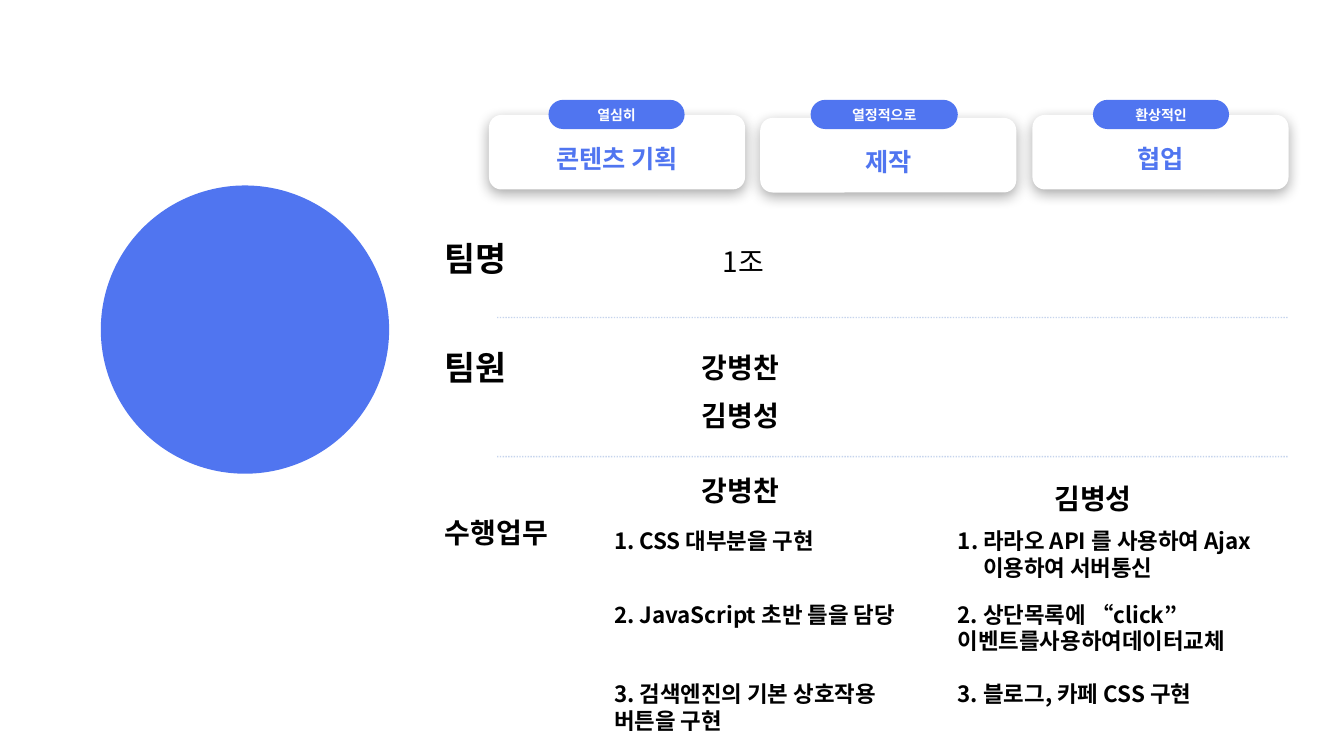
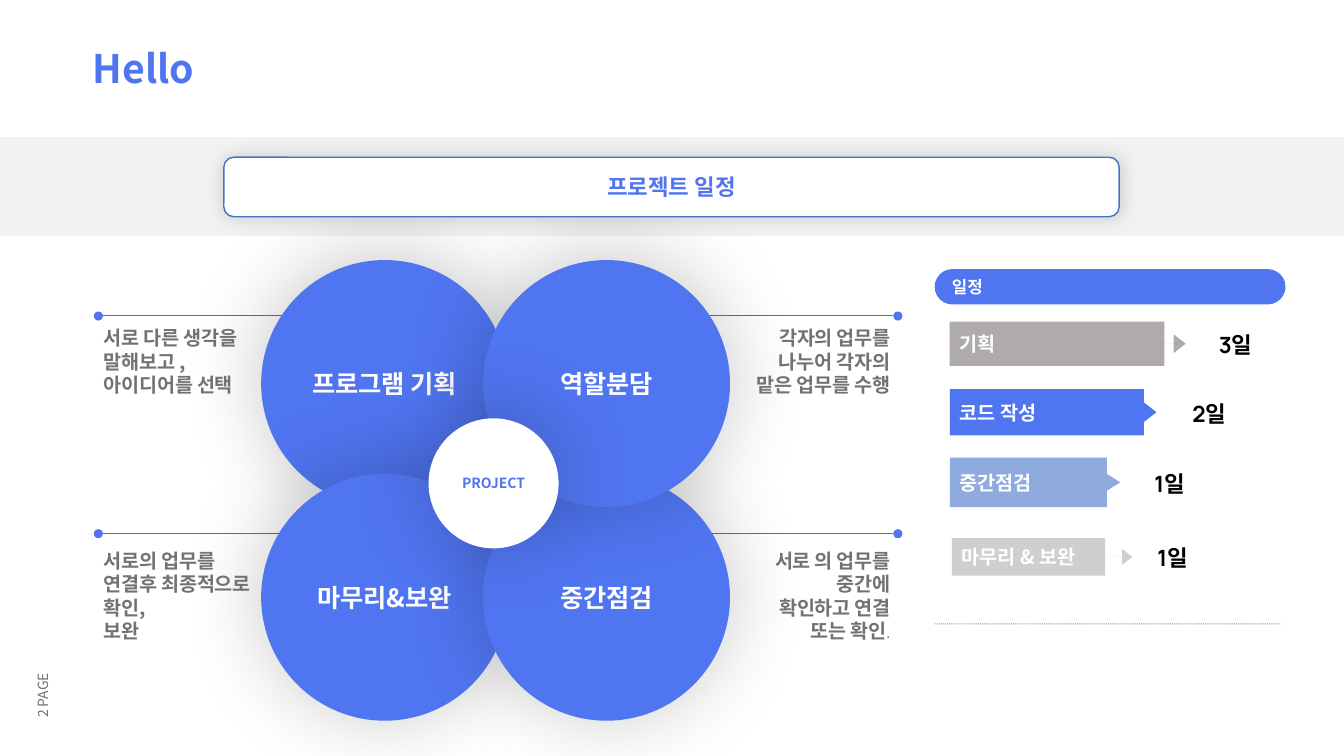
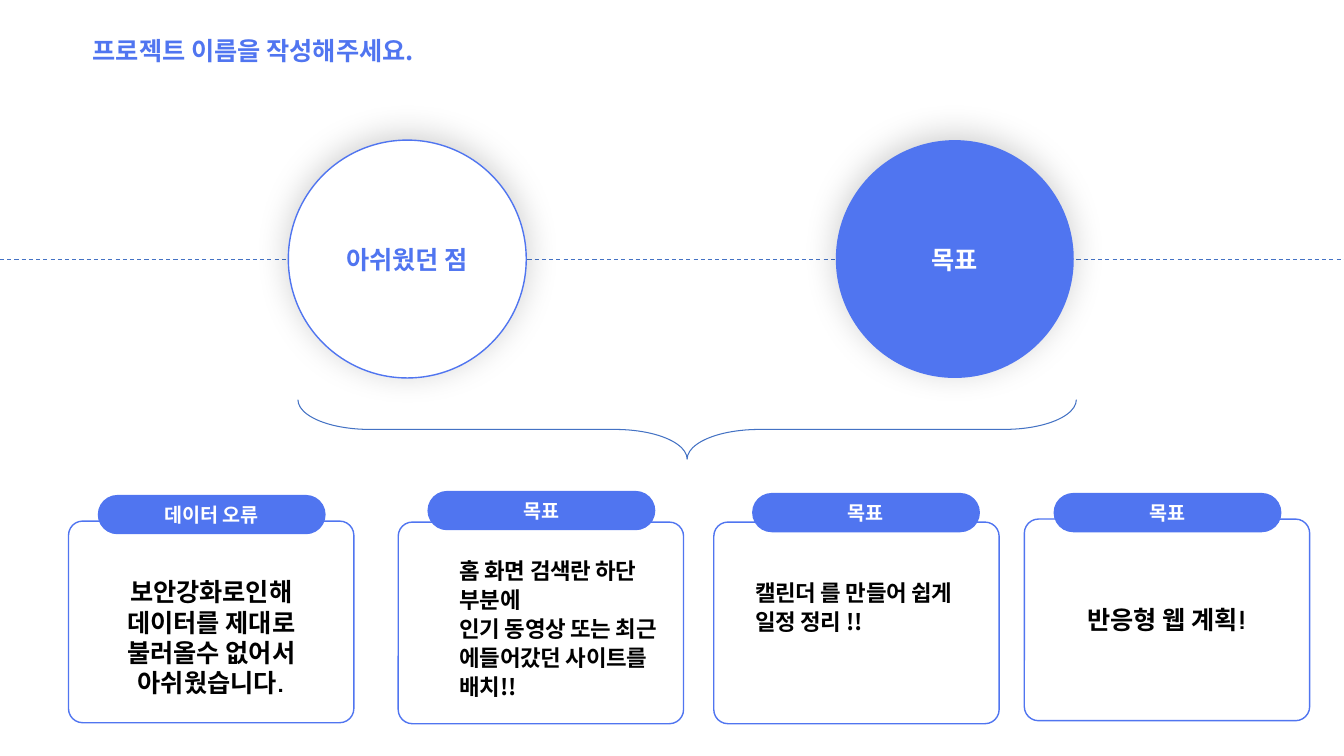
"""Build a three-slide team project deck."""
from dataclasses import dataclass, replace
from typing import NamedTuple, Optional

from lxml import etree
from pptx import Presentation
from pptx.dml.color import RGBColor
from pptx.enum import dml, shapes, text
from pptx.oxml.ns import qn
from pptx.util import Inches, Pt

BLUE = RGBColor(0x50, 0x75, 0xF0)
LINE_BLUE = RGBColor(0x44, 0x72, 0xC4)
PALE_BLUE = RGBColor(0x8F, 0xAA, 0xDC)
WHITE = RGBColor(0xFF, 0xFF, 0xFF)
BLACK = RGBColor(0, 0, 0)
BAND = RGBColor(0xF2, 0xF2, 0xF2)
GRAY = RGBColor(0x76, 0x71, 0x71)
MID_GRAY = RGBColor(0xAF, 0xAB, 0xAB)
LIGHT_GRAY = RGBColor(0xD0, 0xCE, 0xCE)

NOTO = "Noto Sans CJK KR"
MANROPE = "Manrope"
SHAPE = shapes.MSO_SHAPE
ALIGN = text.PP_ALIGN
ANCHOR = text.MSO_ANCHOR
DASH = dml.MSO_LINE
SLIDE_W, SLIDE_H = 13.33, 7.5
NO_INSETS = (0, 0, 0, 0)
SHAPE_INSETS = (0.1, 0.05, 0.1, 0.05)


class Box(NamedTuple):
    """Left, top, width and height in inches."""
    x: float
    y: float
    w: float
    h: float


class Shadow(NamedTuple):
    """Outer shadow: opacity in percent, blur and distance in points, angle."""
    alpha: int
    blur: int
    dist: int
    angle: int


@dataclass(frozen=True)
class Look:
    """Text style of whole paragraphs."""
    size: float
    color: RGBColor = BLACK
    bold: bool = True
    align: ALIGN = ALIGN.LEFT
    font: str = NOTO
    leading: Optional[float] = None
    tracking: int = 0


class Label(NamedTuple):
    """Text with its place and style."""
    box: Box
    words: str
    look: Look


class Card(NamedTuple):
    """Heading card of the team slide with its pill."""
    x: float
    y: float
    words: str
    pill_x: float
    pill_w: float
    pill: str


class Stage(NamedTuple):
    """Bar of the schedule with its duration."""
    box: Box
    adj: tuple[float, ...]
    color: RGBColor
    words: str
    days: str
    days_box: Box


class Panel(NamedTuple):
    """Outlined panel of the goals slide with its pill."""
    x: float
    y: float
    pill_x: float
    pill_y: float
    pill: str
    words: str = ""
    top_inset: float = 0.05


CARD_SHADOW = Shadow(34, 10, 3, 90)
CIRCLE_SHADOW = Shadow(22, 60, 4, 264)
BUTTON_SHADOW = Shadow(17, 13, 0, 200)
GOAL_SHADOW = Shadow(18, 24, 4, 264)

TITLE = Look(28, BLUE, leading=24.6)
HEADING = Look(24, font=MANROPE)
NAME = Look(20)
TASK = Look(16)
DAYS = Look(16, align=ALIGN.CENTER, font=MANROPE)
ON_BLUE = Look(18, WHITE, align=ALIGN.CENTER)
ON_WHITE = replace(ON_BLUE, color=BLUE)
NOTE = Look(14, GRAY, leading=16.6, tracking=-20)
RIGHT_NOTE = replace(NOTE, align=ALIGN.RIGHT)
GOAL_NOTE = Look(16, leading=20.6, tracking=-20)
PANEL_TEXT = Look(18, align=ALIGN.CENTER, font=MANROPE)


def lengths(box: Box) -> list:
    """Convert a box to lengths."""
    return [Inches(v) for v in box]


def style(p, look: Look) -> None:
    """Apply a look to a paragraph."""
    p.alignment = look.align
    if look.leading:
        p.line_spacing = Pt(look.leading)
    f = p.font
    f.size, f.bold, f.name = Pt(look.size), look.bold, look.font
    f.color.rgb = look.color
    props = p._p.pPr.find(qn("a:defRPr"))
    etree.SubElement(props, qn("a:ea"), typeface=NOTO)
    if look.tracking:
        props.set("spc", str(look.tracking))


def write(sp, words: str, look: Look, insets=NO_INSETS, anchor=ANCHOR.TOP) -> None:
    """Fill a shape with paragraphs, one for each line of words."""
    tf = sp.text_frame
    tf.word_wrap = True
    tf.auto_size = text.MSO_AUTO_SIZE.NONE
    tf.vertical_anchor = anchor
    tf.margin_left, tf.margin_top, tf.margin_right, tf.margin_bottom = map(Inches, insets)
    tf.text = words
    for p in tf.paragraphs:
        style(p, look)


def add_text(s, label: Label, insets=NO_INSETS):
    """Add a text box."""
    sp = s.shapes.add_textbox(*lengths(label.box))
    write(sp, label.words, label.look, insets)
    return sp


def add_title(s, y: float, words: str, look: Look) -> None:
    """Place and format the title placeholder."""
    sp = s.shapes.title
    sp.left, sp.top, sp.width, sp.height = lengths(Box(0.92, y, 7.09, 0.35))
    write(sp, words, look)


def add_shape(s, kind, box: Box, fill=None, line=None, width=1.0,
              shadow: Optional[Shadow] = None, adj=()):
    """Add a preset shape."""
    sp = s.shapes.add_shape(kind, *lengths(box))
    for i, value in enumerate(adj):
        sp.adjustments[i] = value
    if fill is None:
        sp.fill.background()
    else:
        sp.fill.solid()
        sp.fill.fore_color.rgb = fill
    if line is None:
        sp.line.fill.background()
    else:
        sp.line.color.rgb = line
        sp.line.width = Pt(width)
    sp.shadow.inherit = False
    if shadow:
        effects = sp._element.spPr.find(qn("a:effectLst"))
        outer = etree.SubElement(
            effects, qn("a:outerShdw"), blurRad=str(Pt(shadow.blur)),
            dist=str(Pt(shadow.dist)), dir=str(shadow.angle * 60000), rotWithShape="0")
        color = etree.SubElement(outer, qn("a:srgbClr"), val=str(BLACK))
        etree.SubElement(color, qn("a:alpha"), val=str(shadow.alpha * 1000))
    return sp


def add_pill(s, box: Box, words: str, look: Look, inset: float = 0) -> None:
    """Add a blue pill with a caption."""
    sp = add_shape(s, SHAPE.ROUNDED_RECTANGLE, box, BLUE, adj=(0.5,))
    write(sp, words, look, (inset, 0, inset, 0), ANCHOR.MIDDLE)


def add_circle(s, x: float, y: float, size: float, words: str, look: Look,
               fill: RGBColor, shadow: Shadow, line=None) -> None:
    """Add a shadowed circle with a caption."""
    sp = add_shape(s, SHAPE.OVAL, Box(x, y, size, size), fill, line, shadow=shadow)
    write(sp, words, look, SHAPE_INSETS, ANCHOR.MIDDLE)


def add_line(s, x1: float, x2: float, y: float, color=LINE_BLUE, width=0.75,
             dash=None, alpha: int = 100) -> None:
    """Add a horizontal line."""
    c = s.shapes.add_connector(shapes.MSO_CONNECTOR.STRAIGHT,
                               Inches(x1), Inches(y), Inches(x2), Inches(y))
    c.line.color.rgb = color
    c.line.width = Pt(width)
    if dash:
        c.line.dash_style = dash
    sp_pr = c._element.spPr
    if alpha < 100:
        rgb = next(sp_pr.iter(qn("a:srgbClr")))
        etree.SubElement(rgb, qn("a:alpha"), val=str(alpha * 1000))
    etree.SubElement(sp_pr, qn("a:effectLst"))


def number(p) -> None:
    """Number a paragraph with a hanging indent."""
    props = p._p.get_or_add_pPr()
    props.set("marL", str(Inches(0.25)))
    props.set("indent", str(Inches(-0.25)))
    bullet = etree.Element(qn("a:buAutoNum"), type="arabicPeriod")
    props.find(qn("a:defRPr")).addprevious(bullet)


def build_team(prs) -> None:
    """Build the team slide."""
    s = prs.slides.add_slide(prs.slide_layouts[6])
    cards = [
        Card(4.85, 1.14, "콘텐츠 기획", 5.44, 1.35, "열심히"),
        Card(7.54, 1.17, "제작", 8.04, 1.46, "열정적으로"),
        Card(10.24, 1.14, "협업", 10.84, 1.35, "환상적인"),
    ]
    for c in cards:
        sp = add_shape(s, SHAPE.ROUNDED_RECTANGLE, Box(c.x, c.y, 2.54, 0.74),
                       WHITE, shadow=CARD_SHADOW)
        write(sp, c.words, replace(ON_WHITE, leading=24.6),
              (0.1, 0.13, 0.1, 0.05), ANCHOR.MIDDLE)
        add_pill(s, Box(c.pill_x, 0.99, c.pill_w, 0.29), c.pill,
                 replace(ON_BLUE, size=10), 0.1)
    add_shape(s, SHAPE.OVAL, Box(1, 1.84, 2.86, 2.86), BLUE)
    for y in (3.15, 4.53):
        add_line(s, 4.93, 12.78, y, width=1, dash=DASH.ROUND_DOT, alpha=30)

    labels = [
        Label(Box(4.41, 2.36, 1.02, 0.4), "팀명", HEADING),
        Label(Box(4.41, 3.44, 1.02, 0.4), "팀원", HEADING),
        Label(Box(4.41, 5.11, 1.22, 0.34), "수행업무", replace(HEADING, size=20)),
        Label(Box(7.17, 2.43, 3.57, 0.34), "1조", replace(NAME, bold=False)),
        Label(Box(6.96, 3.48, 1.99, 0.34), "강병찬", NAME),
        Label(Box(6.96, 3.95, 1.99, 0.34), "김병성", NAME),
        Label(Box(6.96, 4.7, 1.72, 0.34), "강병찬", NAME),
        Label(Box(9.98, 4.78, 1.72, 0.34), "김병성", replace(NAME, align=ALIGN.CENTER)),
    ]
    for label in labels:
        add_text(s, label)

    tasks = {
        6.09: ["CSS 대부분을 구현", "2. JavaScript 초반 틀을 담당",
               "3. 검색엔진의 기본 상호작용\n버튼을 구현"],
        9.5: ["라라오 API 를 사용하여 Ajax 이용하여 서버통신",
              "2. 상단목록에 “click” 이벤트를사용하여데이터교체",
              "3. 블로그, 카페 CSS 구현"],
    }
    for x, column in tasks.items():
        for i, (y, words) in enumerate(zip((5.23, 5.96, 6.75), column)):
            sp = add_text(s, Label(Box(x, y, 3.73, 0.54), words, TASK))
            if i == 0:
                number(sp.text_frame.paragraphs[0])


def build_schedule(prs) -> None:
    """Build the schedule slide."""
    s = prs.slides.add_slide(prs.slide_layouts[5])
    add_title(s, 0.56, "Hello", TITLE)
    rows = (3.13, 5.29)
    for y in rows:
        add_line(s, 0.93, 3.32, y)
        add_line(s, 6.72, 8.86, y)
    add_shape(s, SHAPE.RECTANGLE, Box(0, 1.36, SLIDE_W, 0.98), BAND)

    petals = [(2.59, 2.58, "프로그램 기획"), (2.59, 4.7, "마무리&보완"),
              (4.79, 4.7, "중간점검"), (4.79, 2.58, "역할분담")]
    for x, y, words in petals:
        add_circle(s, x, y, 2.45, words, ON_BLUE, BLUE, CIRCLE_SHADOW)
    add_circle(s, 4.25, 4.15, 1.29, "PROJECT", replace(ON_WHITE, size=10),
               WHITE, CIRCLE_SHADOW)
    for y in rows:
        for x in (0.93, 8.86):
            add_shape(s, SHAPE.OVAL, Box(x, y - 0.04, 0.09, 0.09), BLUE)
    sp = add_shape(s, SHAPE.ROUNDED_RECTANGLE, Box(2.22, 1.56, 8.88, 0.59),
                   WHITE, LINE_BLUE, shadow=BUTTON_SHADOW)
    write(sp, "프로젝트 일정", replace(ON_WHITE, size=16, leading=18.6),
          anchor=ANCHOR.MIDDLE)

    notes = [
        Label(Box(1.03, 3.24, 1.51, 0.98), "서로 다른 생각을 말해보고 , 아이디어를 선택", NOTE),
        Label(Box(1.03, 5.45, 1.51, 0.98), "서로의 업무를 연결후 최종적으로 확인,\n보완", NOTE),
        Label(Box(7.23, 3.24, 1.6, 1.12),
              "각자의 업무를 나누어 각자의\n맡은 업무를 수행", RIGHT_NOTE),
        Label(Box(7.43, 5.45, 1.4, 0.98),
              "서로 의 업무를 중간에\n확인하고 연결 또는 확인", RIGHT_NOTE),
    ]
    for note in notes:
        sp = add_text(s, note)
    r = sp.text_frame.paragraphs[-1].add_run()
    r.text = "."
    r.font.size, r.font.bold = Pt(10), False

    add_pill(s, Box(9.27, 2.67, 3.48, 0.35), "일정", Look(12, WHITE), 0.12)
    stages = [
        Stage(Box(9.42, 3.19, 2.34, 0.44), (0, 0.21, 0.27, 0.91), MID_GRAY,
              "기획", "3일", Box(11.86, 3.29, 0.79, 0.27)),
        Stage(Box(9.42, 3.86, 2.05, 0.46), (0, 0.21, 0.27, 0.94), BLUE,
              "코드 작성", "2일", Box(11.76, 3.97, 0.47, 0.27)),
        Stage(Box(9.42, 4.54, 1.69, 0.49), (0, 0.17, 0.27, 0.94), PALE_BLUE,
              "중간점검", "1일", Box(11.31, 4.66, 0.58, 0.27)),
        Stage(Box(9.44, 5.34, 1.79, 0.37), (0, 0.21, 0.27, 0.85), LIGHT_GRAY,
              "마무리 & 보완", "1일", Box(11.27, 5.4, 0.72, 0.27)),
    ]
    for stage in stages:
        sp = add_shape(s, SHAPE.RIGHT_ARROW_CALLOUT, stage.box, stage.color, adj=stage.adj)
        write(sp, stage.words, Look(14, WHITE), SHAPE_INSETS, ANCHOR.MIDDLE)
        add_text(s, Label(stage.days_box, stage.days, DAYS))
    add_line(s, 9.27, 12.7, 6.19, GRAY, dash=DASH.ROUND_DOT, alpha=75)
    page = add_text(s, Label(Box(-1.09, 5.6, 3, 0.24), "2 PAGE",
                             Look(10, GRAY, bold=False)), SHAPE_INSETS)
    page.rotation = 270


def build_goals(prs) -> None:
    """Build the regrets and goals slide."""
    s = prs.slides.add_slide(prs.slide_layouts[5])
    add_title(s, 0.31, "프로젝트 이름을 작성해주세요.", replace(TITLE, size=18))
    add_line(s, 0, SLIDE_W, 2.57, dash=DASH.DASH)
    add_circle(s, 8.29, 1.39, 2.36, "목표", ON_BLUE, BLUE, GOAL_SHADOW)
    add_circle(s, 2.86, 1.39, 2.36, "아쉬웠던 점", ON_WHITE, WHITE, GOAL_SHADOW, BLUE)
    brace = add_shape(s, SHAPE.LEFT_BRACE, Box(6.52, 0.4, 0.59, 7.72),
                      line=LINE_BLUE, width=0.75, adj=(1.21, 0.5))
    brace.rotation = 270

    panels = [
        Panel(0.68, 5.17, 0.97, 4.91, "데이터 오류",
              "보안강화로인해 데이터를 제대로 불러올수 없어서 아쉬웠습니다.", 0.35),
        Panel(3.95, 5.18, 4.24, 4.87, "목표"),
        Panel(7.08, 5.18, 7.46, 4.89, "목표"),
        Panel(10.16, 5.15, 10.45, 4.89, "목표", "반응형 웹 계획!"),
    ]
    for panel in panels:
        sp = add_shape(s, SHAPE.ROUNDED_RECTANGLE, Box(panel.x, panel.y, 2.83, 2),
                       WHITE, BLUE, adj=(0.07,))
        if panel.words:
            write(sp, panel.words, PANEL_TEXT,
                  (0.1, panel.top_inset, 0.1, 0.05), ANCHOR.MIDDLE)
        add_pill(s, Box(panel.pill_x, panel.pill_y, 2.26, 0.39), panel.pill,
                 replace(ON_BLUE, size=14))
    add_text(s, Label(Box(4.56, 5.51, 2.17, 1.44),
                      "홈 화면 검색란 하단 부분에\n"
                      "인기 동영상 또는 최근 에들어갔던 사이트를 배치!!", GOAL_NOTE))
    add_text(s, Label(Box(7.49, 5.73, 2.17, 1.15),
                      "캘린더 를 만들어 쉽게 일정 정리 !!", GOAL_NOTE))


def main() -> None:
    """Build and save the deck."""
    prs = Presentation()
    prs.slide_width, prs.slide_height = Inches(SLIDE_W), Inches(SLIDE_H)
    build_team(prs)
    build_schedule(prs)
    build_goals(prs)
    prs.save("out.pptx")


if __name__ == "__main__":
    main()
